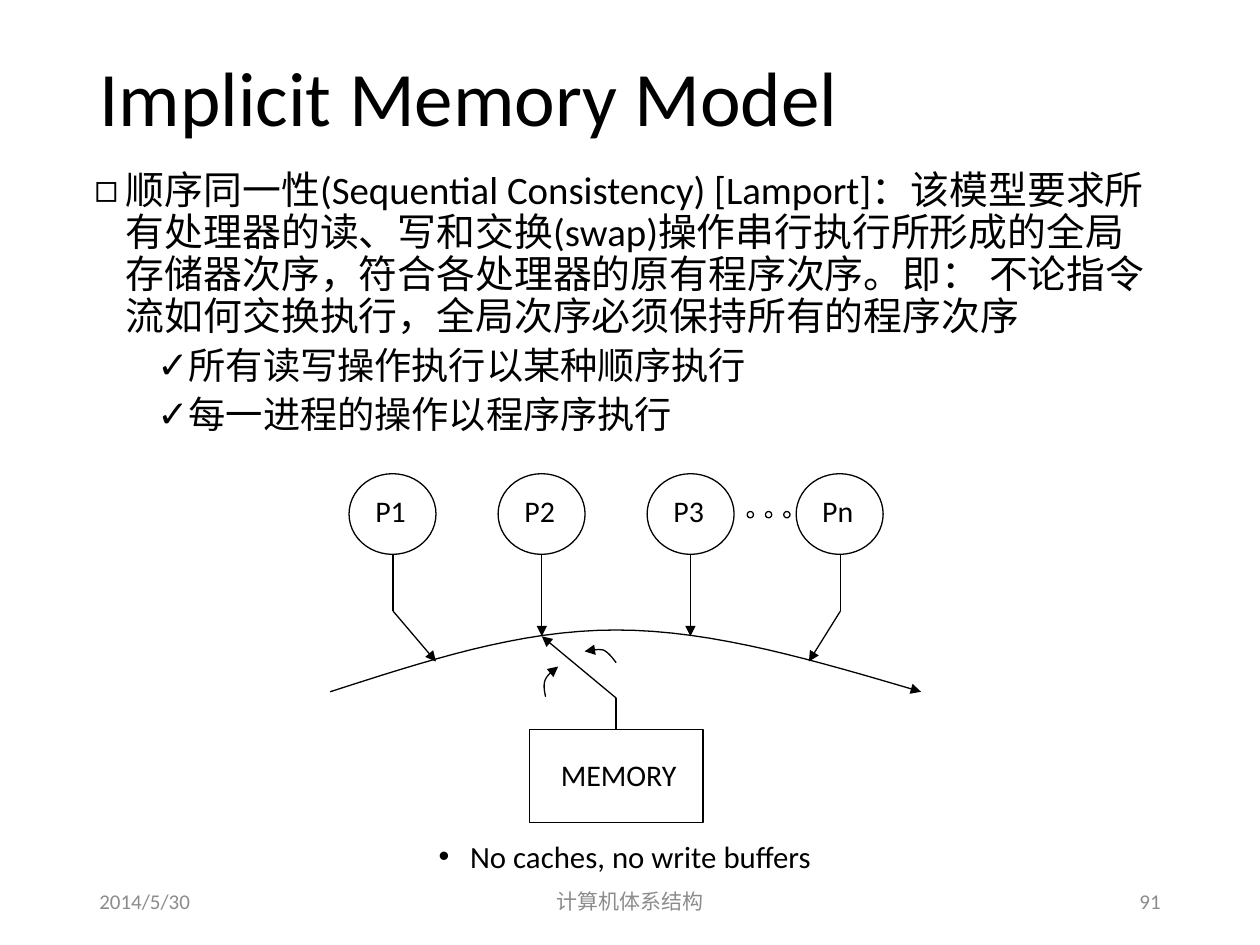
from lxml.etree import SubElement
from pptx import Presentation
from pptx.dml.color import RGBColor
from pptx.enum.shapes import MSO_CONNECTOR, MSO_SHAPE as SHAPE
from pptx.enum.text import MSO_ANCHOR as ANCHOR, PP_ALIGN as ALIGN
from pptx.oxml.ns import qn
from pptx.util import Inches, Pt

BLACK, GRAY = "000000", "8C8C8C"

presentation = Presentation()
presentation.slide_width, presentation.slide_height = Inches(10), Inches(7.5)
slide = presentation.slides.add_slide(presentation.slide_layouts[6])


def add_text(box, paragraphs, color=BLACK, align=ALIGN.LEFT, anchor=ANCHOR.MIDDLE,
             wrap=True, spacing=None):
    """Paragraphs are (text, size, bullet, left margin, space before)."""
    frame = slide.shapes.add_textbox(*map(Inches, box)).text_frame
    frame.word_wrap, frame.vertical_anchor = wrap, anchor
    for index, (text, size, bullet, margin, before) in enumerate(paragraphs):
        paragraph = frame.add_paragraph() if index else frame.paragraphs[0]
        paragraph.text = text
        paragraph.alignment = align
        if bullet:
            properties = paragraph._p.get_or_add_pPr()
            properties.set("marL", str(Inches(margin)))
            properties.set("indent", str(Inches(-0.25)))
            SubElement(properties, qn("a:buFont"), typeface="Arial")
            SubElement(properties, qn("a:buChar"), char=bullet)
        if spacing:
            paragraph.line_spacing = spacing
        paragraph.space_before = Pt(before)
        paragraph.font.size = Pt(size)
        paragraph.font.name = "Calibri"
        paragraph.font.color.rgb = RGBColor.from_string(color)


def outline(shape, arrow=False):
    """Thin black line, no fill, no shadow, optional arrowhead at the end."""
    shape.line.width = Pt(0.75)
    shape.line.color.rgb = RGBColor.from_string(BLACK)
    properties = shape._element.spPr
    if arrow:
        SubElement(properties.find(qn("a:ln")), qn("a:tailEnd"), type="triangle")
    if hasattr(shape, "fill"):
        shape.fill.background()
        shape.shadow.inherit = False
    else:
        SubElement(properties, qn("a:effectLst"))


# Title and definition
add_text((0.69, 0.4, 8.62, 0.81), [("Implicit Memory Model", 44, None, 0, 0)], spacing=0.9)
definition = (
    "顺序同一性(Sequential Consistency) [Lamport]：该模型要求所有处理器的读、写和交换(swap)"
    "操作串行执行所形成的全局存储器次序，符合各处理器的原有程序次序。即： "
    "不论指令流如何交换执行，全局次序必须保持所有的程序次序"
)
add_text((0.65, 1.31, 8.62, 2.3), [
    (definition, 22.2, "◻", 0.25, 0),
    ("所有读写操作执行以某种顺序执行", 21.3, "✓", 0.75, 5),
    ("每一进程的操作以程序序执行", 21.3, "✓", 0.75, 5),
], anchor=ANCHOR.TOP, spacing=0.9)

# Memory box
outline(slide.shapes.add_shape(SHAPE.RECTANGLE, *map(Inches, (4.2, 5.79, 1.38, 0.74))))
add_text((4.3, 5.95, 1.22, 0.39), [("MEMORY", 17.1, None, 0, 0)],
         align=ALIGN.CENTER, wrap=False)

# Processors
for index, name in enumerate(("P1", "P2", "P3", "Pn")):
    left = 2.77 + index * 1.183
    outline(slide.shapes.add_shape(SHAPE.FLOWCHART_CONNECTOR,
                                   *map(Inches, (left, 3.76, 0.69, 0.64))))
    add_text((left + 0.03, 3.86, 0.6, 0.39), [(name, 17.1, None, 0, 0)],
             align=ALIGN.CENTER, wrap=False)

# Dots between P3 and Pn
for index in range(3):
    outline(slide.shapes.add_shape(SHAPE.OVAL, *map(
        Inches, (5.93 + index * 0.145, 4.06, 0.05, 0.05))))

# Straight links: start, end, arrow
for start_x, start_y, end_x, end_y, arrow in (
    (3.12, 4.4, 3.12, 4.85, False),
    (6.67, 4.4, 6.67, 4.85, False),
    (3.12, 4.85, 3.46, 5.25, True),
    (6.67, 4.85, 6.42, 5.25, True),
    (4.3, 4.4, 4.3, 5.05, True),
    (5.48, 4.4, 5.48, 5.05, True),
    (4.89, 5.54, 4.3, 5.05, True),
    (4.89, 5.54, 4.89, 5.79, False),
):
    outline(slide.shapes.add_connector(
        MSO_CONNECTOR.STRAIGHT, *map(Inches, (start_x, start_y, end_x, end_y))), arrow)

# Curved arrows: Bezier points, every third one lies on the curve
STEPS = 16
for points in (
    [(2.62, 5.49), (3.37, 5.25), (4.11, 5), (4.89, 5),
     (5.67, 5), (6.49, 5.25), (7.31, 5.49)],
    [(4.89, 5.26), (4.86, 5.22), (4.83, 5.18), (4.79, 5.16),
     (4.75, 5.15), (4.7, 5.16), (4.64, 5.17)],
    [(4.33, 5.53), (4.32, 5.48), (4.31, 5.43), (4.33, 5.39),
     (4.35, 5.35), (4.39, 5.32), (4.43, 5.29)],
):
    vertices = []
    for first in (0, 3):
        for step in range(1, STEPS + 1):
            t = step / STEPS
            weights = ((1 - t) ** 3, 3 * t * (1 - t) ** 2, 3 * t * t * (1 - t), t ** 3)
            vertices.append(tuple(
                Inches(sum(weight * point[axis] for weight, point
                           in zip(weights, points[first:first + 4])))
                for axis in (0, 1)))
    builder = slide.shapes.build_freeform(*map(Inches, points[0]))
    builder.add_line_segments(vertices, close=False)
    outline(builder.convert_to_shape(), arrow=True)

# Closing remark
add_text((0.65, 6.63, 8.62, 0.37), [("No caches, no write buffers", 17.6, "•", 0.25, 0)],
         align=ALIGN.CENTER, anchor=ANCHOR.TOP, spacing=0.9)

# Footer
for left, width, text, align in (
    (0.69, 2.25, "2014/5/30", ALIGN.LEFT),
    (3.31, 3.38, "计算机体系结构", ALIGN.CENTER),
    (7.06, 2.25, "91", ALIGN.RIGHT),
):
    add_text((left, 6.95, width, 0.4), [(text, 12, None, 0, 0)], GRAY, align)

presentation.save("out.pptx")
